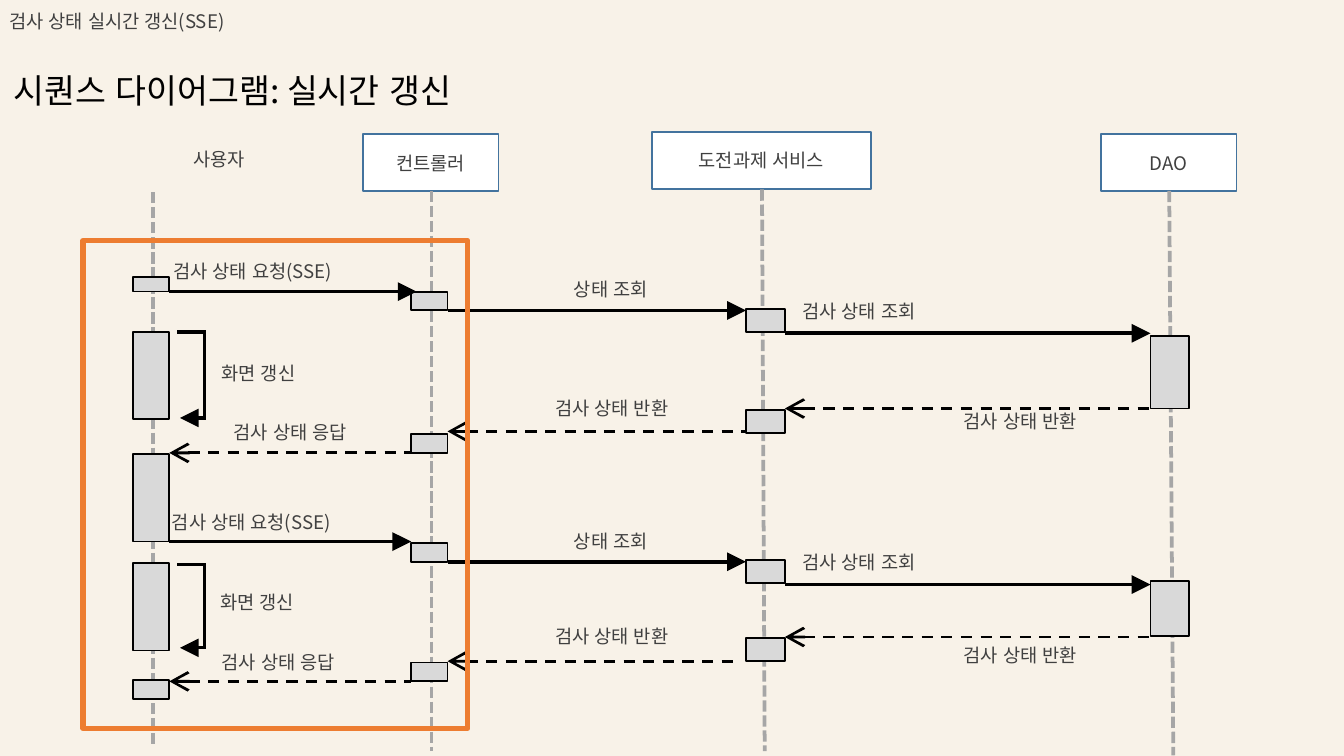
from dataclasses import dataclass

from lxml import etree
from pptx import Presentation
from pptx import util as u
from pptx.dml import color
from pptx.enum import dml, lang, shapes, text
from pptx.oxml import ns

FONT = "Noto Sans CJK KR"
INK, BLACK, GRAY = "404040", "000000", "D9D9D9"
TIGHT, ROOMY = (0.07, 0.04), (0.1, 0.05)


@dataclass
class Lane:
    left: float
    width: float
    bars: list[tuple[float, float]]


@dataclass
class Participant:
    name: str
    frame: tuple[float, float, float, float]
    line_top: tuple[float, float]
    line_end: tuple[float, float]


@dataclass
class Message:
    label: str
    lane: int
    reply: bool
    tops: tuple[float, float]
    labels: tuple[tuple[float, float], tuple[float, float]]
    width: float
    reach: tuple[float, float] = (0, 0)


@dataclass
class Refresh:
    left: float
    top: float
    height: float
    label: tuple[float, float]


PARTICIPANTS = [
    Participant("컨트롤러", (2.7, 1, 1.01, 0.42), (3.21, 1.42), (3.21, 5.59)),
    Participant("도전과제 서비스", (4.85, 0.98, 1.63, 0.43), (5.67, 1.41), (5.69, 5.59)),
    Participant("DAO", (8.19, 1, 1.01, 0.42), (8.7, 1.42), (8.73, 5.62)),
]
LANES = [
    Lane(0.99, 0.27, [(2.06, 0.11), (2.47, 0.65), (3.38, 0.65), (4.19, 0.65), (5.06, 0.14)]),
    Lane(3.06, 0.27, [(top, 0.14) for top in (2.17, 3.23, 4.04, 4.93)]),
    Lane(5.55, 0.29, [(top, 0.17) for top in (2.3, 3.05, 4.17, 4.75)]),
    Lane(8.56, 0.29, [(2.5, 0.54), (4.32, 0.41)]),
]
MESSAGES = [
    Message("검사 상태 요청(SSE)", 0, False, (2.17, 4.03), ((1.22, 1.89), (1.21, 3.76)), 1.4,
            (0.04, 0)),
    Message("상태 조회", 1, False, (2.31, 4.18), ((4.2, 2.03), (4.2, 3.9)), 0.72),
    Message("검사 상태 조회", 2, False, (2.48, 4.35), ((5.9, 2.19), (5.9, 4.06)), 1.03),
    Message("검사 상태 반환", 2, True, (3.04, 4.74), ((7.1, 3.01), (7.1, 4.75)), 1.03),
    Message("검사 상태 반환", 1, True, (3.21, 4.92), ((4.06, 2.91), (4.06, 4.61)), 1.03,
            (0, -0.05)),
    Message("검사 상태 응답", 0, True, (3.37, 5.07), ((1.67, 3.09), (1.58, 4.8)), 1.03),
]
REFRESHES = [
    Refresh(1.32, 2.47, 0.64, (1.55, 2.64)),
    Refresh(1.32, 4.2, 0.62, (1.54, 4.35)),
]


def rgb(value: str) -> color.RGBColor:
    return color.RGBColor.from_string(value)


def apply(target, values: dict) -> None:
    for name, value in values.items():
        setattr(target, name, value)


def write(box, words: str, size: float = 10, ink: str = INK, align=text.PP_ALIGN.LEFT,
          anchor=text.MSO_ANCHOR.TOP, inset=ROOMY, wrap: bool = False) -> None:
    frame = box.text_frame
    side, edge = map(u.Inches, inset)
    apply(frame, {"margin_left": side, "margin_right": side, "margin_top": edge,
                  "margin_bottom": edge, "vertical_anchor": anchor, "word_wrap": wrap})
    para = frame.paragraphs[0]
    para.alignment = align
    span = para.add_run()
    span.text = words
    apply(span.font, {"size": u.Pt(size), "bold": False, "name": FONT,
                      "language_id": lang.MSO_LANGUAGE_ID.KOREAN})
    span.font.color.rgb = rgb(ink)
    etree.SubElement(span.font._element, ns.qn("a:ea"), typeface=FONT)


def label(page, words: str, left: float, top: float, width: float,
          height: float = 0.24, inset=TIGHT) -> None:
    box = page.shapes.add_textbox(*map(u.Inches, (left, top, width, height)))
    write(box, words, inset=inset)
    box.text_frame.auto_size = text.MSO_AUTO_SIZE.SHAPE_TO_FIT_TEXT


def rectangle(page, frame: tuple, fill: str | None, line: str, weight: float = 1):
    box = page.shapes.add_shape(shapes.MSO_SHAPE.RECTANGLE, *map(u.Inches, frame))
    box.shadow.inherit = False
    if fill:
        box.fill.solid()
        box.fill.fore_color.rgb = rgb(fill)
    else:
        box.fill.background()
    box.line.width = u.Pt(weight)
    box.line.color.rgb = rgb(line)
    return box


def stroke(item, ink: str, weight: float, dash=None, end: str = "", kind: str = "") -> None:
    item.line.color.rgb = rgb(ink)
    apply(item.line, {"width": u.Pt(weight), "dash_style": dash})
    if end:
        ln = item.line._get_or_add_ln()
        etree.SubElement(ln, ns.qn("a:miter"), lim="800000")
        etree.SubElement(ln, ns.qn(f"a:{end}"), type=kind, w="lg", len="lg")


def connect(page, start: tuple, stop: tuple, *style) -> None:
    line = page.shapes.add_connector(shapes.MSO_CONNECTOR.STRAIGHT,
                                     *map(u.Inches, (*start, *stop)))
    stroke(line, *style)
    etree.SubElement(line._element.spPr, ns.qn("a:effectLst"))


def lifeline(page, start: tuple, stop: tuple) -> None:
    connect(page, start, stop, "A6A6A6", 2, dml.MSO_LINE.SQUARE_DOT)


def draw_participant(page, item: Participant) -> None:
    box = rectangle(page, item.frame, "FFFFFF", "43739E")
    write(box, item.name, align=text.PP_ALIGN.CENTER,
          anchor=text.MSO_ANCHOR.MIDDLE, wrap=True)
    lifeline(page, item.line_top, item.line_end)


def draw_message(page, item: Message) -> None:
    source, target = LANES[item.lane:item.lane + 2]
    left, right = source.left + source.width, target.left
    style = ((BLACK, 1.5, dml.MSO_LINE.DASH, "headEnd", "arrow") if item.reply
             else (BLACK, 2, None, "tailEnd", "triangle"))
    for top, place, extra in zip(item.tops, item.labels, item.reach):
        connect(page, (left, top), (right + extra, top), *style)
        label(page, item.label, *place, item.width)


def draw_refresh(page, item: Refresh) -> None:
    bottom, turn = item.top + item.height, 1.52
    builder = page.shapes.build_freeform(u.Inches(item.left + 0.02), u.Inches(bottom))
    corners = [(turn, bottom), (turn, item.top), (item.left, item.top)]
    builder.add_line_segments([tuple(map(u.Inches, corner)) for corner in corners], close=False)
    loop = builder.convert_to_shape()
    loop.shadow.inherit = False
    loop.fill.background()
    stroke(loop, BLACK, 1.75, None, "headEnd", "triangle")
    label(page, "화면 갱신", *item.label, 0.77, 0.27, ROOMY)


def main() -> None:
    deck = Presentation()
    width = u.Inches(10)
    apply(deck, {"slide_width": width, "slide_height": width * 9 // 16})
    page = deck.slides.add_slide(deck.slide_layouts[5])
    page.background.fill.solid()
    page.background.fill.fore_color.rgb = rgb("F8F2E8")
    title = page.shapes.title
    apply(title, {"left": u.Inches(0), "top": u.Inches(0.47),
                  "width": u.Inches(3.81), "height": u.Inches(0.4)})
    write(title, "시퀀스 다이어그램: 실시간 갱신", 18, BLACK)
    label(page, "검사 상태 실시간 갱신(SSE)", 0, 0.03, 1.87)
    label(page, "사용자", 1.34, 1.05, 0.59, 0.27, ROOMY)
    lifeline(page, (1.14, 1.43), (1.14, 5.54))
    for participant in PARTICIPANTS:
        draw_participant(page, participant)
    for lane in LANES:
        for top, height in lane.bars:
            rectangle(page, (lane.left, top, lane.width, height), GRAY, BLACK)
    for message in MESSAGES:
        draw_message(page, message)
    for refresh in REFRESHES:
        draw_refresh(page, refresh)
    rectangle(page, (0.62, 1.79, 2.86, 3.63), None, "ED7D31", 3)
    deck.save("out.pptx")


if __name__ == "__main__":
    main()
